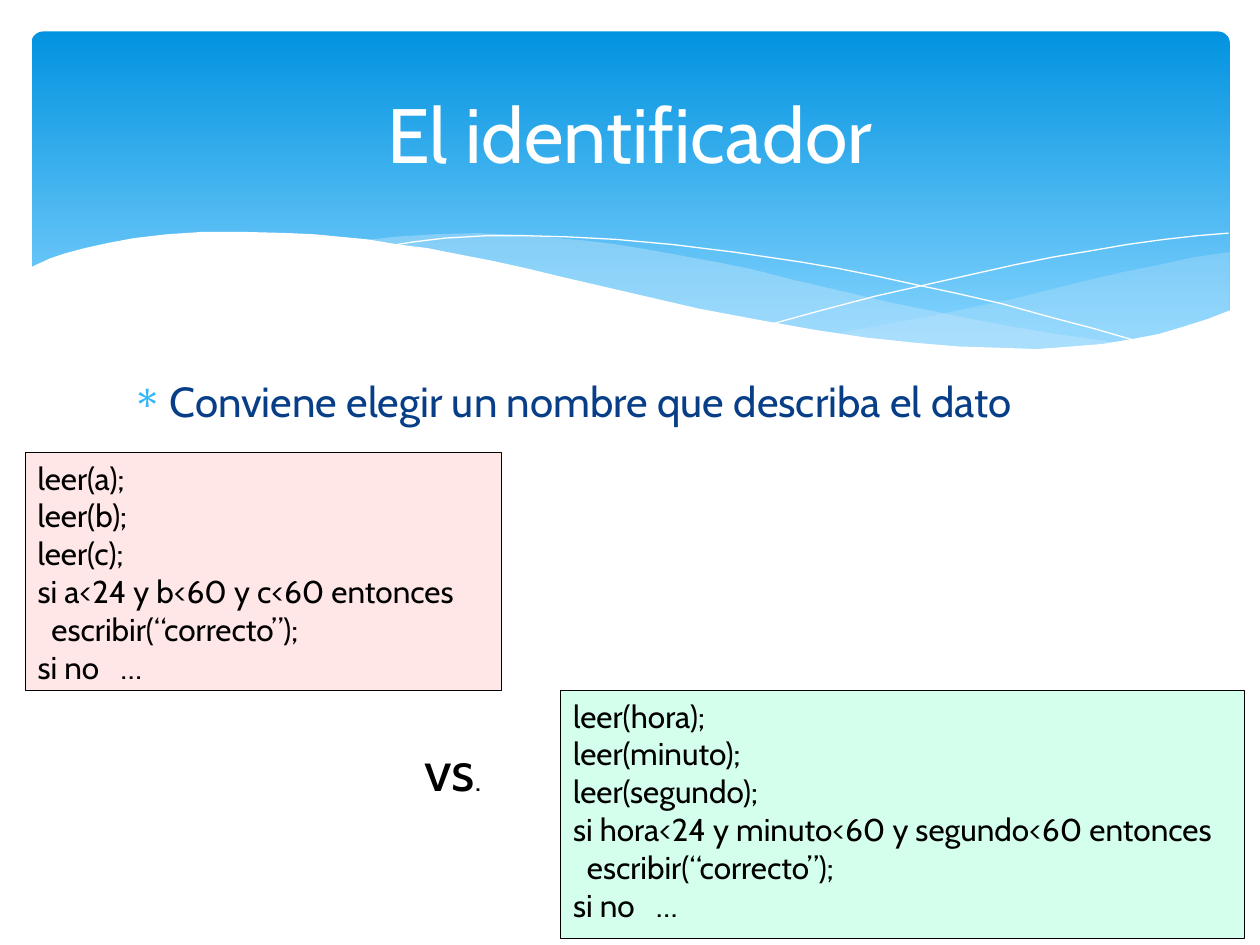
from lxml import etree
from pptx import Presentation
from pptx.dml.color import RGBColor
from pptx.enum import shapes, text
from pptx.oxml.ns import qn
from pptx.util import Inches, Pt


def c(value):
    return RGBColor.from_string(value)


def fill_shape(sp, color, alpha=100):
    sp.fill.solid()
    sp.fill.fore_color.rgb = c(color)
    if alpha < 100:
        clr = sp._element.spPr.find(".//" + qn("a:srgbClr"))
        etree.SubElement(clr, qn("a:alpha"), val=str(alpha * 1000))


prs = Presentation()
prs.slide_width, prs.slide_height = Inches(10), Inches(7.5)
s = prs.slides.add_slide(prs.slide_layouts[6])

sp = s.shapes.add_shape(shapes.MSO_SHAPE.ROUNDED_RECTANGLE,
                        Inches(0.25), Inches(0.25), Inches(9.51), Inches(2.7))
sp.adjustments[0] = 0.034
sp.shadow.inherit = False
sp.line.fill.background()
sp.fill.gradient()
sp.fill.gradient_angle = 270
for stop, position, color in zip(sp.fill.gradient_stops, (0, 0.9), ("0293E0", "83D3FE")):
    stop.position = position
    stop.color.rgb = c(color)

right_wave = [
    (9.76, 2), (9.48, 2.04), (9.21, 2.1), (8.91, 2.16), (8.61, 2.23), (8.05, 2.37),
    (7.53, 2.48), (7.06, 2.57), (6.61, 2.65), (6.91, 2.69), (7.19, 2.72), (7.45, 2.75),
    (7.69, 2.77), (8.03, 2.78), (8.35, 2.77), (8.63, 2.75), (8.89, 2.72), (9.13, 2.67),
    (9.35, 2.62), (9.49, 2.57), (9.63, 2.52), (9.76, 2.47)]
middle_wave = [
    (8.93, 2.73), (8.66, 2.69), (8.37, 2.65), (8.07, 2.6), (7.75, 2.54), (7.41, 2.47),
    (7.06, 2.4), (6.68, 2.31), (6.29, 2.22), (5.98, 2.14), (5.69, 2.08), (5.41, 2.03),
    (5.14, 1.98), (4.89, 1.94), (4.65, 1.91), (4.42, 1.89), (4.2, 1.87), (3.8, 1.85),
    (3.44, 1.86), (3.13, 1.88), (2.86, 1.91), (3.23, 1.96), (3.62, 2.03), (4.04, 2.11),
    (4.49, 2.22), (4.91, 2.32), (5.3, 2.4), (5.66, 2.48), (6.01, 2.55), (6.34, 2.61),
    (6.65, 2.66), (6.95, 2.7), (7.22, 2.74), (7.48, 2.76), (7.73, 2.77), (8.07, 2.78),
    (8.38, 2.78), (8.67, 2.76)]
falling_line = [
    (3.09, 1.95), (3.28, 1.92), (3.53, 1.89), (3.87, 1.87), (4.16, 1.87), (4.5, 1.88),
    (4.89, 1.9), (5.33, 1.94), (5.82, 2), (6.36, 2.08), (6.65, 2.13), (6.95, 2.19),
    (7.27, 2.26), (7.6, 2.33), (7.95, 2.41), (8.31, 2.51), (8.69, 2.61), (9.07, 2.72)]
rising_line = [
    (6.13, 2.57), (6.53, 2.46), (6.95, 2.35), (7.48, 2.23), (8.06, 2.1), (8.36, 2.04),
    (8.66, 1.99), (8.95, 1.94), (9.24, 1.9), (9.51, 1.87), (9.75, 1.85)]
white_wave = [
    (9.77, 2.46), (9.59, 2.53), (9.4, 2.59), (9.2, 2.65), (8.99, 2.69), (8.75, 2.73),
    (8.5, 2.75), (8.23, 2.77), (7.93, 2.76), (7.61, 2.75), (7.26, 2.72), (6.88, 2.68),
    (6.48, 2.62), (6.03, 2.54), (5.55, 2.45), (5.03, 2.33), (4.47, 2.2), (4.18, 2.13),
    (3.91, 2.07), (3.65, 2.02), (3.4, 1.97), (3.16, 1.94), (2.92, 1.9), (2.71, 1.88),
    (2.5, 1.86), (2.3, 1.85), (1.93, 1.84), (1.61, 1.84), (1.32, 1.86), (1.06, 1.89),
    (0.85, 1.93), (0.67, 1.97), (0.52, 2.01), (0.4, 2.05), (0.29, 2.1), (0.23, 2.13),
    (0.23, 3.29), (9.77, 3.29)]

for points, color, alpha in [
        (right_wave, "C6E7FC", 29), (middle_wave, "C6E7FC", 40),
        (falling_line, None, 100), (rising_line, None, 100), (white_wave, "FFFFFF", 100)]:
    pts = [(Inches(x), Inches(y)) for x, y in points]
    builder = s.shapes.build_freeform(*pts[0])
    builder.add_line_segments(pts[1:], close=color is not None)
    sp = builder.convert_to_shape()
    sp.shadow.inherit = False
    if color:
        fill_shape(sp, color, alpha)
        sp.line.fill.background()
    else:
        sp.fill.background()
        sp.line.color.rgb = c("FFFFFF")
        sp.line.width = Pt(0)

code_end = ["escribir(“correcto”);", "si no\t…"]
boxes = [
    ((0.95, 2.93, 8.1, 3.77), None, 24, "073E87",
     ["Conviene elegir un nombre que describa el dato"]),
    ((0.5, 0.37, 9, 1.37), None, 44, "FFFFFF", ["El identificador"]),
    ((0.2, 3.59, 3.78, 1.89), ("FF7C80", 18), 18, "000000",
     ["leer(a);", "leer(b);", "leer(c);", "si a<24 y b<60 y c<60 entonces"] + code_end),
    ((4.45, 5.48, 5.43, 1.97), ("00FF99", 17), 18, "000000",
     ["leer(hora);", "leer(minuto);", "leer(segundo);",
      "si hora<24 y minuto<60 y segundo<60 entonces"] + code_end),
    ((3.27, 5.79, 0.94, 0.64), None, 32, "000000", ["vs"]),
]
frames = []
for place, fill, size, color, lines in boxes:
    at = [Inches(v) for v in place]
    if fill:
        sp = s.shapes.add_shape(shapes.MSO_SHAPE.RECTANGLE, *at)
        sp.shadow.inherit = False
        fill_shape(sp, *fill)
        sp.line.color.rgb = c("000000")
        sp.line.width = Pt(0.75)
    else:
        sp = s.shapes.add_textbox(*at)
    tf = sp.text_frame
    frames.append(tf)
    tf.word_wrap = True
    tf.vertical_anchor = text.MSO_ANCHOR.TOP
    for i, line in enumerate(lines):
        p = tf.paragraphs[0] if i == 0 else tf.add_paragraph()
        p.alignment = text.PP_ALIGN.LEFT
        r = p.add_run()
        r.text = line
        for name, value in {"name": "Cabin", "size": Pt(size)}.items():
            setattr(r.font, name, value)
        r.font.color.rgb = c(color)
        pPr = p._p.get_or_add_pPr()
        if line == code_end[0]:
            pPr.set("marL", str(Inches(0.11)))
        if "\t" in line:
            tabs = etree.SubElement(pPr, qn("a:tabLst"))
            etree.SubElement(tabs, qn("a:tab"), pos=str(Inches(0.66)), algn="l")

body, title, versus = frames[0], frames[1], frames[4]
p = body.paragraphs[0]
p.space_before = Pt(4.8)
pPr = p._p.get_or_add_pPr()
pPr.set("marL", str(Inches(0.3)))
pPr.set("indent", str(Inches(-0.3)))
bullet_color = etree.SubElement(pPr, qn("a:buClr"))
etree.SubElement(bullet_color, qn("a:srgbClr"), val="31B6FD")
etree.SubElement(pPr, qn("a:buChar"), char="∗")

title.vertical_anchor = text.MSO_ANCHOR.MIDDLE
title.paragraphs[0].alignment = text.PP_ALIGN.CENTER

r = versus.paragraphs[0].add_run()
r.text = "."
for name, value in {"name": "Cabin", "size": Pt(18)}.items():
    setattr(r.font, name, value)
r.font.color.rgb = c("000000")

prs.save("out.pptx")
